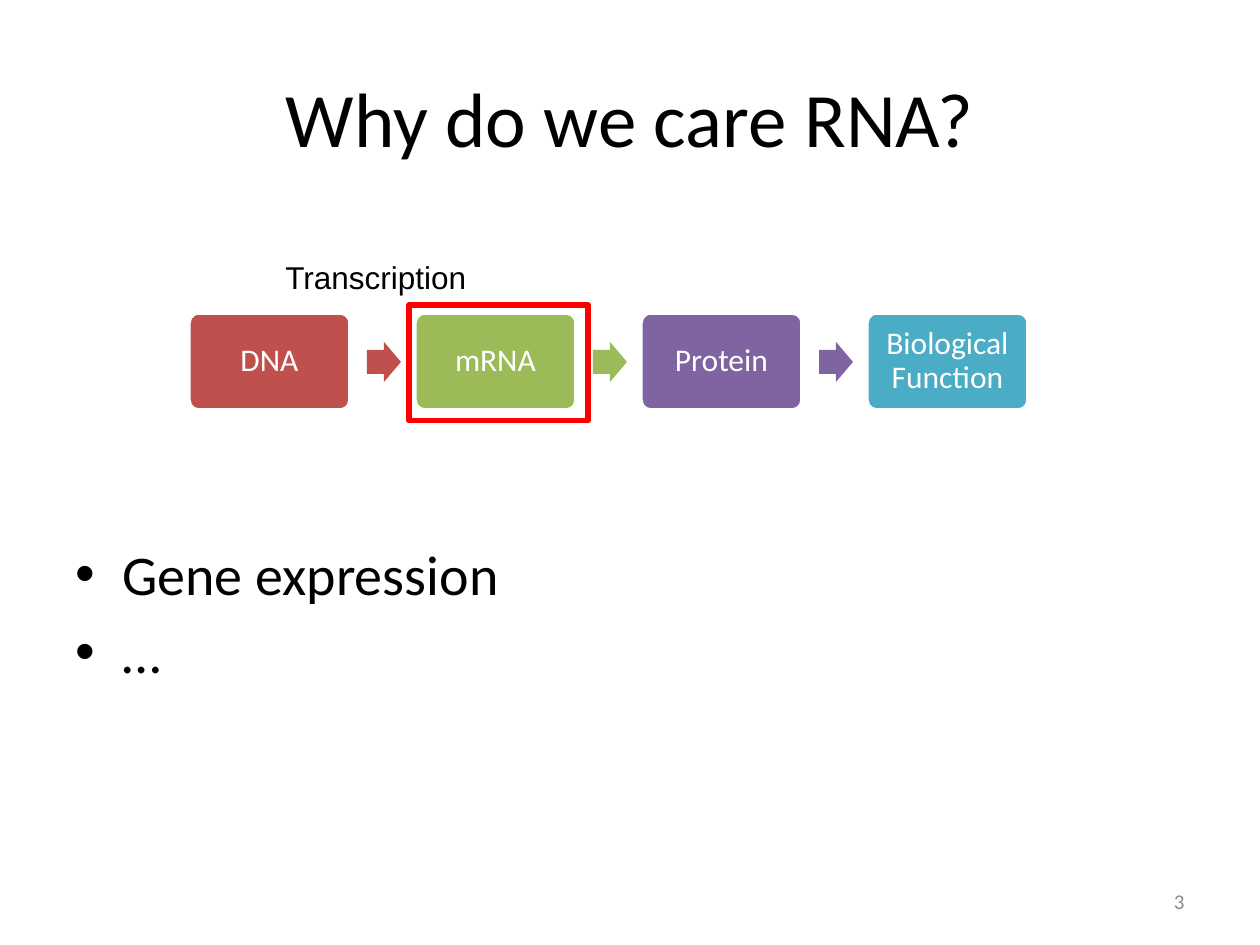
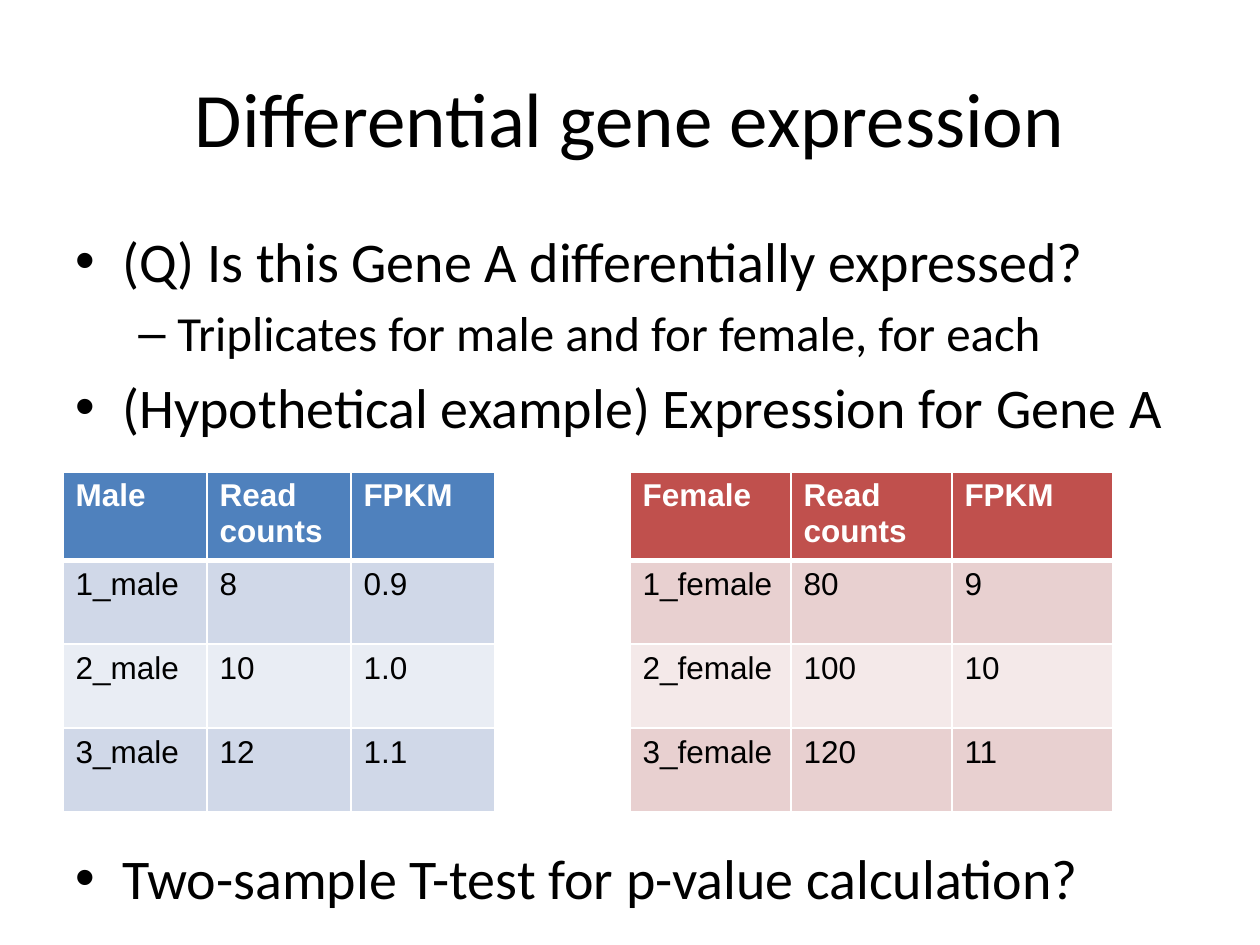
from lxml import etree
from pptx import Presentation
from pptx.dml.color import RGBColor
from pptx.enum.shapes import MSO_SHAPE
from pptx.enum.text import MSO_ANCHOR, PP_ALIGN
from pptx.oxml.ns import qn
from pptx.util import Pt

SCALE = 914400 / 126

LEFT, CENTER, RIGHT = PP_ALIGN.LEFT, PP_ALIGN.CENTER, PP_ALIGN.RIGHT
TOP, MIDDLE = MSO_ANCHOR.TOP, MSO_ANCHOR.MIDDLE
RECT, ARROW = MSO_SHAPE.RECTANGLE, MSO_SHAPE.RIGHT_ARROW
ROUND_RECT = MSO_SHAPE.ROUNDED_RECTANGLE

BLACK = RGBColor(0x00, 0x00, 0x00)
WHITE = RGBColor(0xFF, 0xFF, 0xFF)
GRAY = RGBColor(0x8C, 0x8C, 0x8C)
FRAME_RED = RGBColor(0xFF, 0x00, 0x00)
BLUE = RGBColor(0x4F, 0x81, 0xBD)
BLUE_BANDS = RGBColor(0xD0, 0xD8, 0xE8), RGBColor(0xE9, 0xED, 0xF4)
RED = RGBColor(0xC0, 0x50, 0x4D)
RED_BANDS = RGBColor(0xE8, 0xD0, 0xD0), RGBColor(0xF4, 0xE9, 0xE9)
GREEN = RGBColor(0x9B, 0xBB, 0x59)
PURPLE = RGBColor(0x80, 0x64, 0xA2)
AQUA = RGBColor(0x4B, 0xAC, 0xC6)

BODY_FONT, LABEL_FONT = "Calibri", "Arial"
MARGIN, CONTENT_W = 63, 1134
# level: (bullet, left indent, hanging indent, size)
LEVELS = {0: ("•", 47, 47, 32), 1: ("–", 102, 39, 28)}


def px(n):
    return round(n * SCALE)


class Deck:
    def __init__(self):
        self.prs = Presentation()
        self.prs.slide_width, self.prs.slide_height = px(1260), px(945)
        self.s = None

    def new_slide(self, title):
        self.s = self.prs.slides.add_slide(self.prs.slide_layouts[6])
        self.text(title, MARGIN, 38, CONTENT_W, 157, 44, align=CENTER, anchor=MIDDLE)

    def run(self, p, text, size, color=BLACK, font=BODY_FONT, bold=False):
        r = p.add_run()
        r.text = text
        r.font.size, r.font.name, r.font.bold = Pt(size), font, bold
        r.font.color.rgb = color

    def box(self, x, y, w, h, anchor=TOP, wrap=True):
        tf = self.s.shapes.add_textbox(px(x), px(y), px(w), px(h)).text_frame
        tf.word_wrap, tf.vertical_anchor = wrap, anchor
        return tf

    def text(self, text, x, y, w, h, size, color=BLACK, font=BODY_FONT,
             align=LEFT, anchor=TOP, wrap=True):
        p = self.box(x, y, w, h, anchor, wrap).paragraphs[0]
        p.alignment = align
        self.run(p, text, size, color, font)

    def bullets(self, y, h, items):
        """Write (level, text) items as a bulleted list across the content width."""
        tf = self.box(MARGIN, y, CONTENT_W, h)
        for i, (level, text) in enumerate(items):
            char, left, hang, size = LEVELS[level]
            p = tf.add_paragraph() if i else tf.paragraphs[0]
            pPr = p._p.get_or_add_pPr()
            pPr.set("marL", str(px(left)))
            pPr.set("indent", str(-px(hang)))
            etree.SubElement(pPr, qn("a:buFont")).set("typeface", LABEL_FONT)
            etree.SubElement(pPr, qn("a:buChar")).set("char", char)
            p.level = level
            if i:
                p.space_before = Pt(size * 0.19)
            self.run(p, text, size)

    def shape(self, kind, x, y, w, h, fill=None, line=None, line_w=1, adj=()):
        sp = self.s.shapes.add_shape(kind, px(x), px(y), px(w), px(h))
        sp.shadow.inherit = False
        for i, value in enumerate(adj):
            sp.adjustments[i] = value
        if fill is None:
            sp.fill.background()
        else:
            sp.fill.solid()
            sp.fill.fore_color.rgb = fill
        if line is None:
            sp.line.fill.background()
        else:
            sp.line.color.rgb, sp.line.width = line, Pt(line_w)
        return sp

    def step(self, text, x, y, w, h, fill):
        sp = self.shape(ROUND_RECT, x, y, w, h, fill, WHITE, 2, [0.1])
        tf = sp.text_frame
        tf.word_wrap, tf.vertical_anchor = True, MIDDLE
        tf.margin_left = tf.margin_right = tf.margin_top = tf.margin_bottom = px(11)
        p = tf.paragraphs[0]
        p.alignment, p.line_spacing = CENTER, 0.9
        self.run(p, text, 18, WHITE)

    def border(self, cell, side, width):
        ln = etree.SubElement(cell._tc.get_or_add_tcPr(), qn(f"a:ln{side}"))
        ln.set("w", str(Pt(width)))
        fill = etree.SubElement(ln, qn("a:solidFill"))
        etree.SubElement(fill, qn("a:srgbClr")).set("val", str(WHITE))

    def table(self, x, y, col_w, row_h, rows, head_fill, bands):
        n_rows, n_cols = len(rows), len(rows[0])
        tbl = self.s.shapes.add_table(n_rows, n_cols, px(x), px(y),
                                      px(col_w * n_cols), px(row_h * n_rows)).table
        tbl.horz_banding = False
        for i, row in enumerate(rows):
            head = i == 0
            tbl.rows[i].height = px(row_h)
            for j, value in enumerate(row):
                cell = tbl.cell(i, j)
                for side in "LRTB":
                    under_head = (i, side) in ((0, "B"), (1, "T"))
                    self.border(cell, side, 3 if under_head else 1)
                cell.fill.solid()
                cell.fill.fore_color.rgb = head_fill if head else bands[(i - 1) % 2]
                self.run(cell.text_frame.paragraphs[0], value, 18,
                         WHITE if head else BLACK, LABEL_FONT, head)


def why_rna(deck):
    deck.new_slide("Why do we care RNA?")
    deck.bullets(533, 311, [(0, "Gene expression"), (0, "…")])
    deck.text("3", 903, 876, 294, 50, 12, GRAY, align=RIGHT, anchor=MIDDLE)

    steps = [("DNA", RED), ("mRNA", GREEN), ("Protein", PURPLE),
             ("Biological Function", AQUA)]
    left, top, pitch = 189, 313, 226
    for i, (name, color) in enumerate(steps):
        x = left + i * pitch
        deck.step(name, x, top, 161, 97, color)
        if i < len(steps) - 1:
            deck.shape(ARROW, x + 178, top + 29, 34, 40, color, adj=[0.6, 0.5])

    deck.shape(RECT, 409, 305, 179, 116, line=FRAME_RED, line_w=3)
    deck.text("Transcription", 273, 252, 208, 50, 18, font=LABEL_FONT, wrap=False)


def differential_expression(deck):
    deck.new_slide("Differential gene expression")
    deck.bullets(220, 240, [
        (0, "(Q) Is this Gene A differentially expressed?"),
        (1, "Triplicates for male and for female, for each"),
        (0, "(Hypothetical example) Expression for Gene A"),
    ])
    deck.bullets(837, 82, [(0, "Two-sample T-test for p-value calculation?")])

    measures = ["Read counts", "FPKM"]
    male = [["Male", *measures], ["1_male", "8", "0.9"],
            ["2_male", "10", "1.0"], ["3_male", "12", "1.1"]]
    female = [["Female", *measures], ["1_female", "80", "9"],
              ["2_female", "100", "10"], ["3_female", "120", "11"]]
    deck.table(MARGIN, 472, 144, 84, male, BLUE, BLUE_BANDS)
    deck.table(630, 472, 161, 84, female, RED, RED_BANDS)


def main():
    deck = Deck()
    why_rna(deck)
    differential_expression(deck)
    deck.prs.save("out.pptx")


if __name__ == "__main__":
    main()
